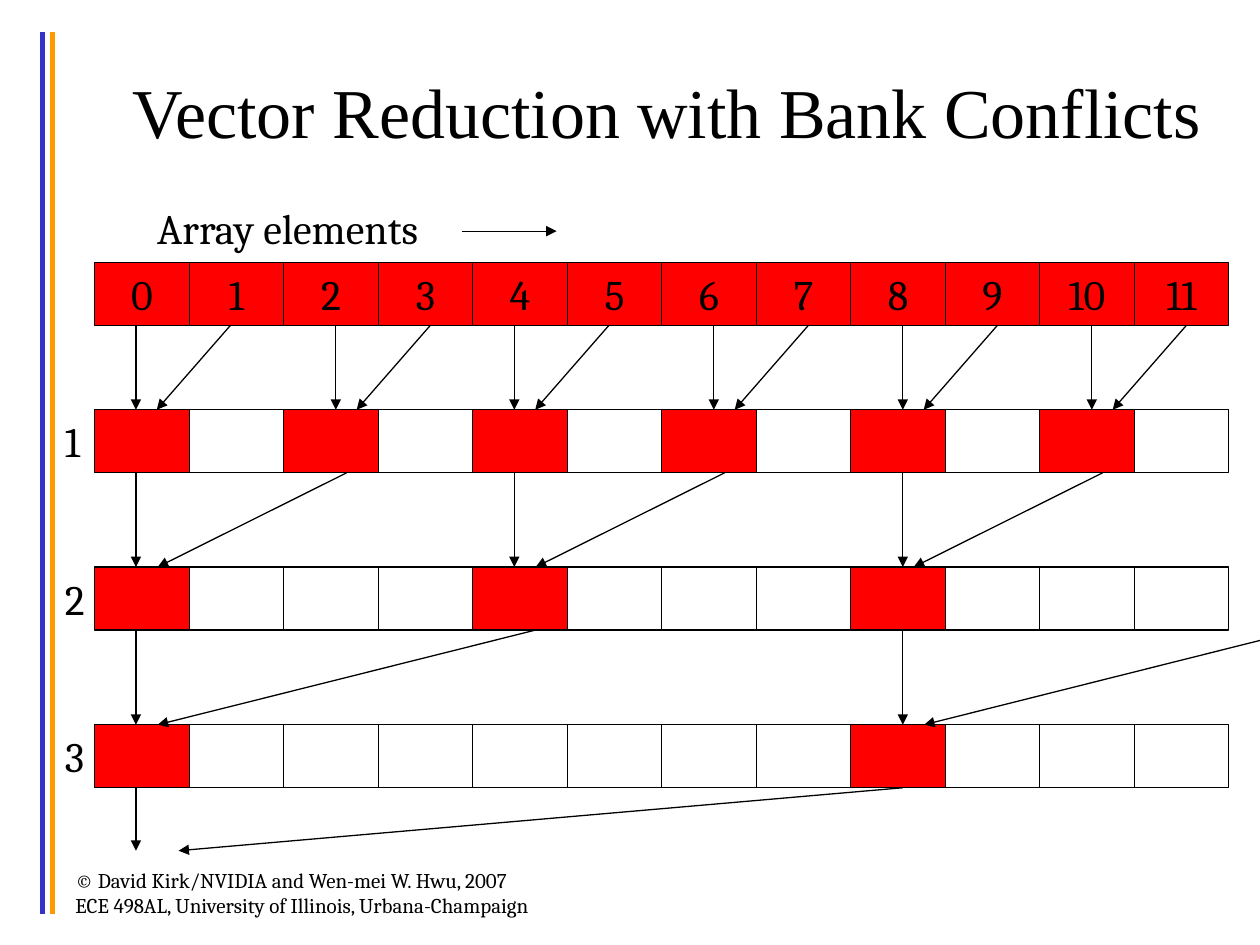
from dataclasses import dataclass

from lxml import etree
from pptx import Presentation
from pptx import util as u
from pptx.dml.color import RGBColor
from pptx.enum import shapes, text
from pptx.oxml.ns import qn

HUES = {"ink": "000000", "hot": "FF0000", "blue": "3333CC", "gold": "FF9900"}
BODY, HEAD = "Cambria", "Times New Roman"

# Array grid, in centimetres
COLS = 12
LEFT, WIDE, HIGH = 1.91, 22.86, 1.27
CELL = WIDE / COLS


@dataclass
class Row:
    top: float
    step: int  # every step-th cell is active
    name: str = ""


@dataclass
class Pass:
    top: float
    end: float
    down: list[float]  # x of the straight arrows
    pairs: list[tuple[float, float]]  # x at start and end of the slanted ones


@dataclass
class Label:
    words: list[str]
    box: tuple[float, float, float, float]
    size: float = 24
    face: str = BODY
    wrap: bool = False
    align: text.PP_ALIGN = text.PP_ALIGN.LEFT
    anchor: text.MSO_ANCHOR = text.MSO_ANCHOR.TOP


ROWS = [Row(5.29, 1), Row(8.26, 2, "1"), Row(11.43, 4, "2"), Row(14.61, 8, "3")]
LOW = [row.top + HIGH for row in ROWS]
FIRST = [2.74, 6.77, 10.37, 14.39, 18.2, 22.01]
WIDEST = FIRST[::2]

PASSES = [
    Pass(LOW[0], ROWS[1].top, FIRST, [(x + CELL, x + 0.42) for x in FIRST]),
    Pass(LOW[1], ROWS[2].top, WIDEST,
         [(6.99 + 4 * CELL * n, 3.18 + 4 * CELL * n) for n in range(3)]),
    Pass(LOW[2], ROWS[3].top, WIDEST[::2], [(10.8, 3.18)]),
    Pass(LOW[3], 17.15, WIDEST[:1], [(18.2, 3.6)]),
]

LABELS = [
    Label(["© David Kirk/NVIDIA and Wen-mei W. Hwu, 2007",
           "ECE 498AL, University of Illinois, Urbana-Champaign"],
          (1.27, 17.36, 11, 1.27), 12, wrap=True),
    Label(["Vector Reduction with Bank Conflicts"], (1.91, 0.64, 23.07, 3.18),
          40, HEAD, True, text.PP_ALIGN.CENTER, text.MSO_ANCHOR.MIDDLE),
    Label(["Array elements"], (2.92, 3.96, 6.48, 1.27)),
    *[Label([row.name], (1.06, row.top, 0.92, HIGH)) for row in ROWS if row.name],
]


def tint(key: str) -> RGBColor:
    return RGBColor.from_string(HUES[key])


def put(thing, form: dict) -> None:
    for key, val in form.items():
        setattr(thing, key, val)


def write(shape, words: list[str], size: float, face: str, align,
          anchor, wrap: bool) -> None:
    frame = shape.text_frame
    put(frame, {"text": "\n".join(words), "word_wrap": wrap,
                "vertical_anchor": anchor})
    for para in frame.paragraphs:
        para.alignment = align
        put(para.font, {"name": face, "size": u.Pt(size)})
        para.font.color.rgb = tint("ink")


def note(slide, lab: Label) -> None:
    box = slide.shapes.add_textbox(*map(u.Cm, lab.box))
    write(box, lab.words, lab.size, lab.face, lab.align, lab.anchor, lab.wrap)


def line(slide, x1: float, y1: float, x2: float, y2: float,
         hue: str = "ink", width: float = 0.75, tip: bool = True) -> None:
    link = slide.shapes.add_connector(
        shapes.MSO_CONNECTOR.STRAIGHT, *map(u.Cm, (x1, y1, x2, y2)))
    link.line.color.rgb = tint(hue)
    link.line.width = u.Pt(width)
    if tip:
        stroke = link.line._get_or_add_ln()
        etree.SubElement(stroke, qn("a:tailEnd"), type="triangle")
    etree.SubElement(link._element.spPr, qn("a:effectLst"))


def cell(slide, row: Row, col: int) -> None:
    box = slide.shapes.add_shape(
        shapes.MSO_SHAPE.RECTANGLE,
        *map(u.Cm, (LEFT + col * CELL, row.top, CELL, HIGH)))
    box.shadow.inherit = False
    if col % row.step == 0:
        box.fill.solid()
        box.fill.fore_color.rgb = tint("hot")
    else:
        box.fill.background()
    box.line.color.rgb = tint("ink")
    box.line.width = u.Pt(0.75)
    if not row.name:
        write(box, [str(col)], 24, BODY, text.PP_ALIGN.CENTER,
              text.MSO_ANCHOR.MIDDLE, False)


def main() -> None:
    deck = Presentation()
    put(deck, {"slide_width": u.Cm(25.4), "slide_height": u.Cm(19.05)})
    slide = deck.slides.add_slide(deck.slide_layouts[6])

    # Side rules
    for x, hue in ((0.85, "blue"), (1.06, "gold")):
        line(slide, x, 0.64, x, 18.42, hue, 3, False)

    # Title, footer and row names
    for lab in LABELS:
        note(slide, lab)

    # Array rows
    for row in ROWS:
        for col in range(COLS):
            cell(slide, row, col)

    # Reduction arrows
    for part in PASSES:
        for x in part.down:
            line(slide, x, part.top, x, part.end)
        for start, stop in part.pairs:
            line(slide, start, part.top, stop, part.end)

    # Arrow from beyond the slide edge, and the heading arrow
    line(slide, 25.4, 12.91, 18.63, ROWS[3].top)
    line(slide, 9.31, 4.66, 11.22, 4.66)

    deck.save("out.pptx")


if __name__ == "__main__":
    main()
